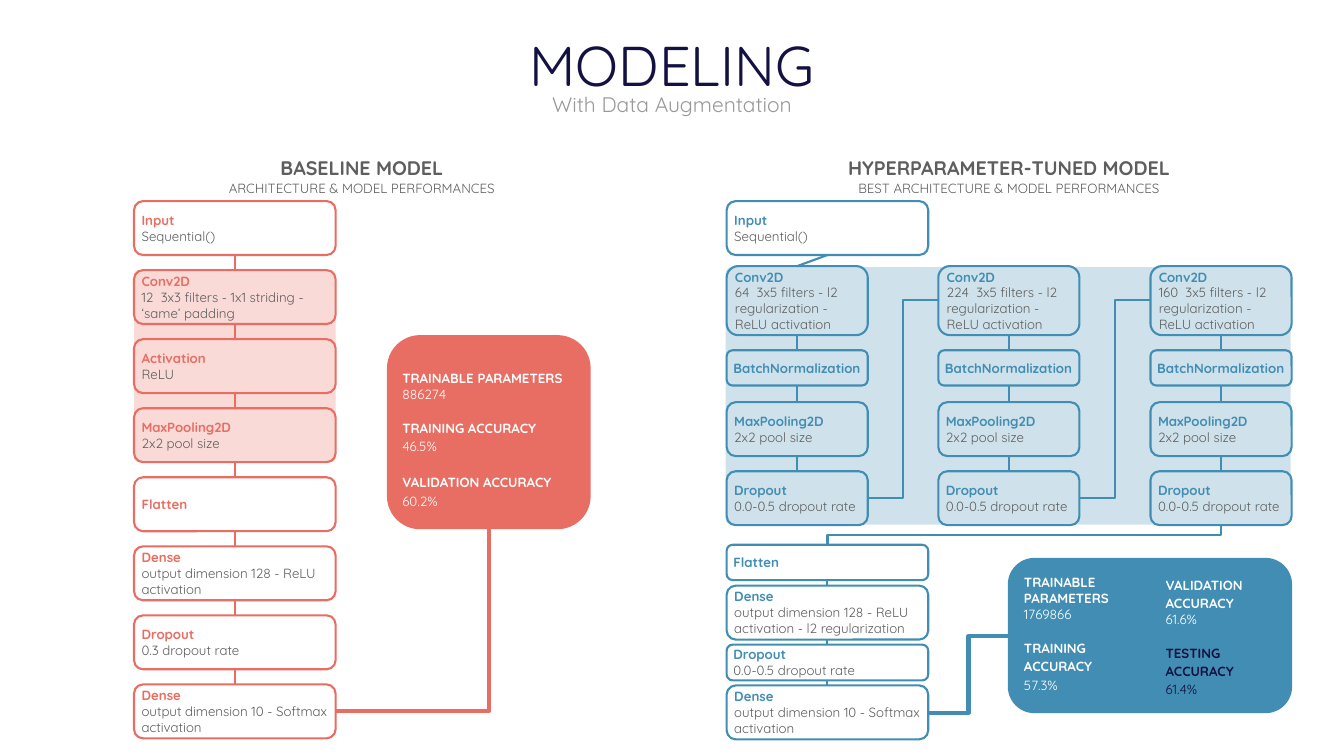
from dataclasses import dataclass

import lxml.etree
import pptx
import pptx.dml.color
import pptx.enum.shapes
import pptx.enum.text
import pptx.oxml.ns
import pptx.util

Inches = pptx.util.Inches
Pt = pptx.util.Pt
Align = pptx.enum.text.PP_ALIGN
Anchor = pptx.enum.text.MSO_ANCHOR
Connector = pptx.enum.shapes.MSO_CONNECTOR
ROUNDED = pptx.enum.shapes.MSO_SHAPE.ROUNDED_RECTANGLE
qn = pptx.oxml.ns.qn


@dataclass(frozen=True)
class Theme:
    font: str = "Quicksand"
    red: str = "E86D62"
    blue: str = "418DB3"
    navy: str = "121142"
    gray: str = "5E5E5E"
    light_gray: str = "999999"
    white: str = "FFFFFF"
    title: int = 80
    subtitle: int = 30
    heading: int = 28
    body: int = 19
    thin: int = 3
    thick: int = 6
    gap: int = 22


@dataclass
class Line:
    text: str
    color: str
    size: int = Theme.body
    bold: bool = False
    before: int = 0
    spacing: float = 1.0


def rgb(color):
    return pptx.dml.color.RGBColor.from_string(color)


class ModelSlide:
    """Holds the theme and the slide being drawn; lengths are given in inches."""

    def __init__(self, slide, theme):
        self.slide = slide
        self.theme = theme

    def fill_text(self, text_frame, lines, align=Align.LEFT, left=0.1, top=0.1):
        text_frame.word_wrap = True
        text_frame.margin_left, text_frame.margin_top = Inches(left), Inches(top)
        text_frame.margin_right = text_frame.margin_bottom = Inches(0.1)
        text_frame.text = "\n".join(line.text for line in lines)
        for paragraph, line in zip(text_frame.paragraphs, lines):
            paragraph.alignment = align
            paragraph.space_before = Pt(line.before)
            paragraph.line_spacing = line.spacing
            font = paragraph.runs[0].font
            font.name, font.size, font.bold = self.theme.font, Pt(line.size), line.bold
            font.color.rgb = rgb(line.color)

    def placeholder(self, index, box, line):
        shape = self.slide.placeholders[index]
        shape.left, shape.top, shape.width, shape.height = map(Inches, box)
        self.fill_text(shape.text_frame, [line], Align.CENTER)
        shape.text_frame.auto_size = pptx.enum.text.MSO_AUTO_SIZE.NONE
        shape.text_frame.vertical_anchor = Anchor.TOP

    def text(self, box, lines, align=Align.LEFT, left=0.1):
        shape = self.slide.shapes.add_textbox(*map(Inches, box))
        self.fill_text(shape.text_frame, lines, align, left)

    def heading(self, left, title, subtitle):
        gray = self.theme.gray
        self.text((left, 3, 9.04, 0.99),
                  [Line(title, gray, self.theme.heading, True), Line(subtitle, gray)],
                  Align.CENTER)

    def rounded(self, box, fill=None, line=None):
        shape = self.slide.shapes.add_shape(ROUNDED, *map(Inches, box))
        shape.shadow.inherit = False
        if fill:
            shape.fill.solid()
            shape.fill.fore_color.rgb = rgb(fill)
        else:
            shape.fill.background()
        if line:
            shape.line.color.rgb = rgb(line)
            shape.line.width = Pt(self.theme.thin)
        else:
            shape.line.fill.background()
        return shape

    def band(self, box, color):
        """Tinted area behind a group of layers, 25% opaque."""
        shape = self.rounded(box, color)
        shape.adjustments[0] = 0.024
        color_element = next(shape._element.spPr.iter(qn("a:srgbClr")))
        lxml.etree.SubElement(color_element, qn("a:alpha")).set("val", "25000")

    def layer(self, box, color, name, detail="", fill=None):
        shape = self.rounded(box, fill, color)
        lines = [Line(name, color, bold=True)]
        if detail:
            lines.append(Line(detail, self.theme.gray))
        self.fill_text(shape.text_frame, lines)
        shape.text_frame.vertical_anchor = Anchor.MIDDLE
        return shape

    def connector(self, kind, start, end, color, width):
        connector = self.slide.shapes.add_connector(kind, *map(Inches, start + end))
        connector.line.color.rgb = rgb(color)
        connector.line.width = Pt(width)
        lxml.etree.SubElement(connector._element.spPr, qn("a:effectLst"))
        return connector

    def link(self, upper, lower, color):
        """Join the bottom of one layer to the top of the next."""
        connector = self.connector(Connector.STRAIGHT, (0, 0), (0, 0), color, self.theme.thin)
        connector.begin_connect(upper, 2)
        connector.end_connect(lower, 0)

    def chain(self, layers, color):
        for upper, lower in zip(layers, layers[1:]):
            self.link(upper, lower, color)

    def elbow(self, start, end, color, width):
        return self.connector(Connector.ELBOW, start, end, color, width)

    def corner(self, start, end, color, width):
        """Elbow with a single bend."""
        connector = self.elbow(start, end, color, width)
        connector._element.spPr.find(qn("a:prstGeom")).set("prst", "bentConnector2")

    def drop(self, start, end, color, width):
        """Elbow running down, left and down: a quarter turn of the plain elbow."""
        center_x, center_y = (start[0] + end[0]) / 2, (start[1] + end[1]) / 2
        half_x, half_y = (start[0] - end[0]) / 2, (end[1] - start[1]) / 2
        connector = self.elbow((center_x - half_y, center_y - half_x),
                               (center_x + half_y, center_y + half_x), color, width)
        connector._element.spPr.find(qn("a:xfrm")).set("rot", "5400000")


def metric(name, value, color, before=0, spacing=1.15, value_spacing=1.15):
    return [Line(name, color, bold=True, before=before, spacing=spacing),
            Line(value, color, spacing=value_spacing)]


def draw_baseline(page):
    theme = page.theme
    red, white = theme.red, theme.white
    page.heading(2.66, "BASELINE MODEL", "ARCHITECTURE & MODEL PERFORMANCES")
    page.band((2.66, 5.36, 4, 3.81), red)
    contents = [
        ("Input", "Sequential()"),
        ("Conv2D", "12  3x3 filters - 1x1 striding - ‘same’ padding"),
        ("Activation", "ReLU"),
        ("MaxPooling2D", "2x2 pool size"),
        ("Flatten", ""),
        ("Dense", "output dimension 128 - ReLU activation"),
        ("Dropout", "0.3 dropout rate"),
        ("Dense", "output dimension 10 - Softmax activation"),
    ]
    layers = [page.layer((2.66, 3.99 + 1.37 * row, 4, 1.07), red, name, detail)
              for row, (name, detail) in enumerate(contents)]
    page.chain(layers, red)
    card = page.rounded((7.7, 6.67, 4, 3.81), red, red)
    page.fill_text(card.text_frame,
                   metric("TRAINABLE PARAMETERS", "886274", white, 0, 1.0, 1.0)
                   + metric("TRAINING ACCURACY", "46.5%", white, theme.gap)
                   + metric("VALIDATION ACCURACY", "60.2%", white, theme.gap + 3), top=0.4)
    card.text_frame.vertical_anchor = Anchor.MIDDLE
    page.corner((6.66, 14.11), (9.7, 10.47), red, theme.thick)


def draw_tuned(page):
    theme = page.theme
    blue, white = theme.blue, theme.white
    page.heading(15.5, "HYPERPARAMETER-TUNED MODEL", "BEST ARCHITECTURE & MODEL PERFORMANCES")
    input_layer = page.layer((14.42, 3.99, 4, 1.07), blue, "Input", "Sequential()")
    page.band((14.4, 5.3, 11.21, 5.11), blue)

    for left, filters in ((14.42, 64), (18.62, 224), (22.83, 160)):
        rows = [
            (5.28, 1.37, "Conv2D", f"{filters}  3x5 filters - l2 regularization - ReLU activation"),
            (6.95, 0.7, "BatchNormalization", ""),
            (7.98, 1.07, "MaxPooling2D", "2x2 pool size"),
            (9.35, 1.07, "Dropout", "0.0-0.5 dropout rate"),
        ]
        block = [page.layer((left, top, 2.8, height), blue, name, detail)
                 for top, height, name, detail in rows]
        page.chain(block, blue)
        if left == 14.42:
            page.link(input_layer, block[0], blue)
        else:
            page.elbow((left - 1.4, 9.88), (left, 5.96), blue, theme.thin)
    page.drop((24.23, 10.41), (16.42, 10.81), blue, theme.thin)

    flatten = page.layer((14.42, 10.81, 4, 0.7), blue, "Flatten", fill=white)
    output = page.layer((14.42, 13.6, 4, 1.07), blue, "Dense",
                        "output dimension 10 - Softmax activation", white)
    page.link(flatten, output, blue)
    page.layer((14.42, 11.62, 4, 1.07), blue, "Dense",
               "output dimension 128 - ReLU activation - l2 regularization", white)
    page.layer((14.42, 12.79, 4, 0.71), blue, "Dropout", "0.0-0.5 dropout rate", white)

    page.rounded((20.02, 11.09, 5.6, 3.04), blue, blue)
    page.elbow((18.42, 14.14), (20.02, 12.62), blue, theme.thick)
    page.text((20.02, 11.3, 2.8, 2.63),
              metric("TRAINABLE PARAMETERS", "1769866", white, 0, 1.0, 1.0)
              + metric("TRAINING ACCURACY", "57.3%", white, theme.gap), left=0.3)
    page.text((22.83, 11.3, 2.8, 2.63),
              metric("VALIDATION ACCURACY", "61.6%", white, value_spacing=1.0)
              + metric("TESTING ACCURACY", "61.4%", theme.navy, theme.gap), left=0.3)


def main():
    presentation = pptx.Presentation()
    presentation.slide_width, presentation.slide_height = Inches(26.67), Inches(15)
    theme = Theme()
    page = ModelSlide(presentation.slides.add_slide(presentation.slide_layouts[0]), theme)
    page.placeholder(0, (8.54, 0.5, 9.59, 1.55), Line("MODELING", theme.navy, theme.title))
    page.placeholder(1, (8.54, 1.71, 9.59, 0.71),
                     Line("With Data Augmentation", theme.light_gray, theme.subtitle))
    draw_baseline(page)
    draw_tuned(page)
    presentation.save("out.pptx")


if __name__ == "__main__":
    main()
